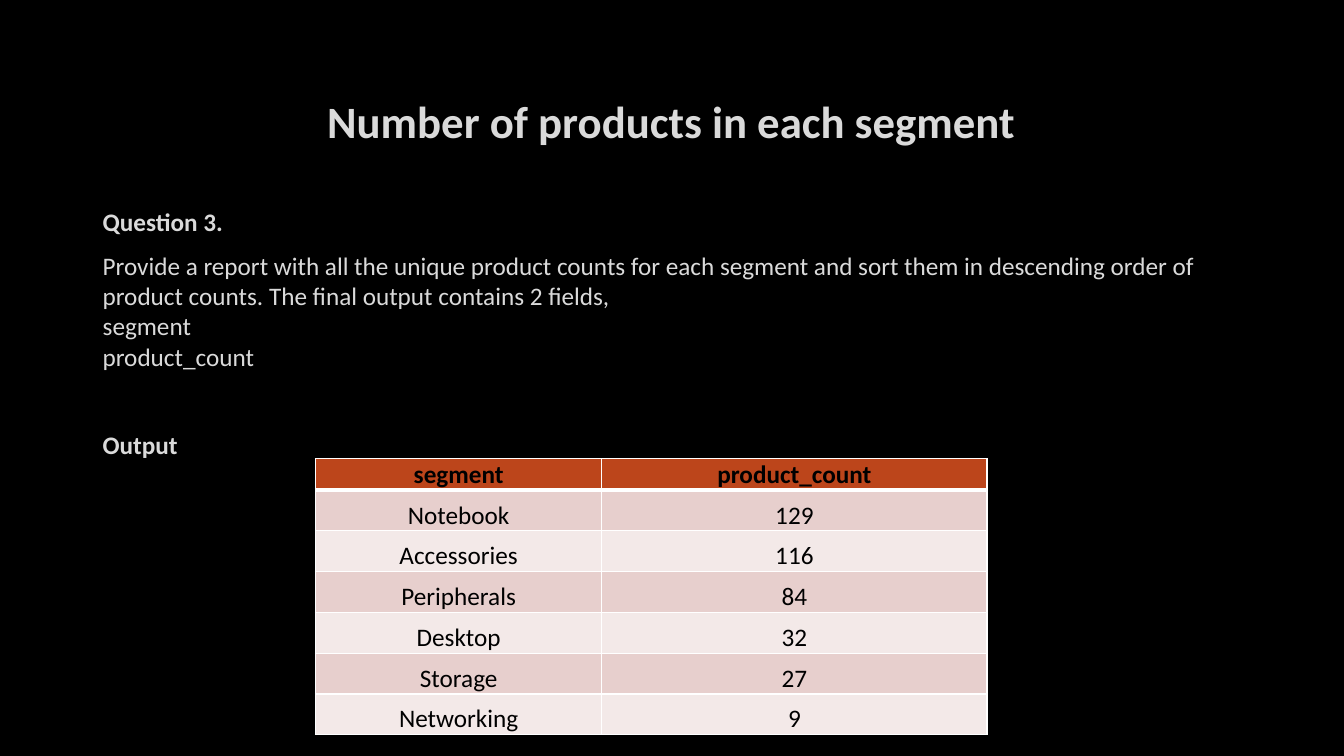
from dataclasses import dataclass

from lxml import etree
from pptx import Presentation
from pptx import util as u
from pptx.dml.color import RGBColor
from pptx.enum import text
from pptx.oxml import ns

BLACK = RGBColor(0x00, 0x00, 0x00)
WHITE = RGBColor(0xFF, 0xFF, 0xFF)
PALE_GREY = RGBColor(0xDA, 0xDA, 0xDA)
RUST = RGBColor(0xBC, 0x45, 0x1B)
ROSE = RGBColor(0xE7, 0xCF, 0xCD)
LIGHT_ROSE = RGBColor(0xF3, 0xE9, 0xE8)

FONT = "Calibri"
BODY_SIZE = 18
SLIDE_WIDTH = u.Inches(13.33)
SLIDE_HEIGHT = u.Inches(7.5)


@dataclass(frozen=True)
class Area:
    """A rectangle in percent of the slide's width and height."""
    left: float
    top: float
    width: float
    height: float

    def emu(self) -> tuple[int, int, int, int]:
        return (across(self.left), down(self.top),
                across(self.width), down(self.height))


@dataclass(frozen=True)
class Passage:
    wording: str
    bold: bool = False
    size: float = BODY_SIZE
    before: float = 0
    after: float = 6
    align: text.PP_ALIGN = text.PP_ALIGN.LEFT


def across(percent: float) -> int:
    return round(SLIDE_WIDTH * percent / 100)


def down(percent: float) -> int:
    return round(SLIDE_HEIGHT * percent / 100)


TITLE_AREA = Area(7.5, 8.93, 84.92, 14.13)
BODY_AREA = Area(6.9, 26.67, 86.27, 73.33)
HEADER_HEIGHT, ROW_HEIGHT = 4.13, 5.4
COLUMN_WIDTHS = (21.3, 28.66)

TITLE = Passage("Number of products in each segment", bold=True, size=32,
                after=0, align=text.PP_ALIGN.CENTER)
QUESTION = (
    Passage("Question 3.", bold=True),
    Passage("Provide a report with all the unique product counts for each "
            "segment and sort them in descending order of product counts. "
            "The final output contains 2 fields,\vsegment\vproduct_count",
            before=3.6),
    Passage("Output", bold=True, before=35.2),
)
SEGMENT_COUNTS = (
    ("segment", "product_count"),
    ("Notebook", "129"),
    ("Accessories", "116"),
    ("Peripherals", "84"),
    ("Desktop", "32"),
    ("Storage", "27"),
    ("Networking", "9"),
)
TABLE_AREA = Area(23.48, 60.67, sum(COLUMN_WIDTHS),
                  HEADER_HEIGHT + ROW_HEIGHT * (len(SEGMENT_COUNTS) - 1))


def write(paragraph, passage: Passage, color: RGBColor) -> None:
    paragraph.text = passage.wording
    paragraph.alignment = passage.align
    paragraph.space_before = u.Pt(passage.before)
    paragraph.space_after = u.Pt(passage.after)
    for run in paragraph.runs:
        run.font.name = FONT
        run.font.size = u.Pt(passage.size)
        run.font.bold = passage.bold
        run.font.color.rgb = color


def add_passages(slide, area: Area, passages: tuple[Passage, ...],
                 anchor: text.MSO_ANCHOR) -> None:
    frame = slide.shapes.add_textbox(*area.emu()).text_frame
    frame.word_wrap = True
    frame.vertical_anchor = anchor
    for index, passage in enumerate(passages):
        paragraph = frame.add_paragraph() if index else frame.paragraphs[0]
        write(paragraph, passage, PALE_GREY)


def set_borders(cell, widths: dict[str, float]) -> None:
    """Draw white cell borders; widths maps L, R, T and B to points."""
    properties = cell._tc.get_or_add_tcPr()
    for position, (side, width) in enumerate(widths.items()):
        line = etree.Element(ns.qn(f"a:ln{side}"), w=str(u.Pt(width)))
        fill = etree.SubElement(line, ns.qn("a:solidFill"))
        etree.SubElement(fill, ns.qn("a:srgbClr"), val=str(WHITE))
        properties.insert(position, line)


def fill_cell(cell, wording: str, row: int) -> None:
    is_header = row == 0
    cell.margin_left = cell.margin_right = cell.margin_top = u.Inches(0.01)
    cell.margin_bottom = 0
    cell.vertical_anchor = text.MSO_ANCHOR.BOTTOM
    cell.fill.solid()
    band = ROSE if row % 2 else LIGHT_ROSE
    cell.fill.fore_color.rgb = RUST if is_header else band
    set_borders(cell, {"L": 1, "R": 1, "T": 3 if row == 1 else 1,
                       "B": 3 if is_header else 1})
    write(cell.text_frame.paragraphs[0],
          Passage(wording, bold=is_header, after=0,
                  align=text.PP_ALIGN.CENTER), BLACK)


def add_segment_table(slide) -> None:
    table = slide.shapes.add_table(len(SEGMENT_COUNTS), len(COLUMN_WIDTHS),
                                   *TABLE_AREA.emu()).table
    for column, width in zip(table.columns, COLUMN_WIDTHS):
        column.width = across(width)
    for row, values in enumerate(SEGMENT_COUNTS):
        table.rows[row].height = down(ROW_HEIGHT if row else HEADER_HEIGHT)
        for column, wording in enumerate(values):
            fill_cell(table.cell(row, column), wording, row)


def main() -> None:
    presentation = Presentation()
    presentation.slide_width = SLIDE_WIDTH
    presentation.slide_height = SLIDE_HEIGHT
    slide = presentation.slides.add_slide(presentation.slide_layouts[6])
    slide.background.fill.solid()
    slide.background.fill.fore_color.rgb = BLACK
    add_passages(slide, TITLE_AREA, (TITLE,), text.MSO_ANCHOR.MIDDLE)
    add_passages(slide, BODY_AREA, QUESTION, text.MSO_ANCHOR.TOP)
    add_segment_table(slide)
    presentation.save("out.pptx")


if __name__ == "__main__":
    main()
